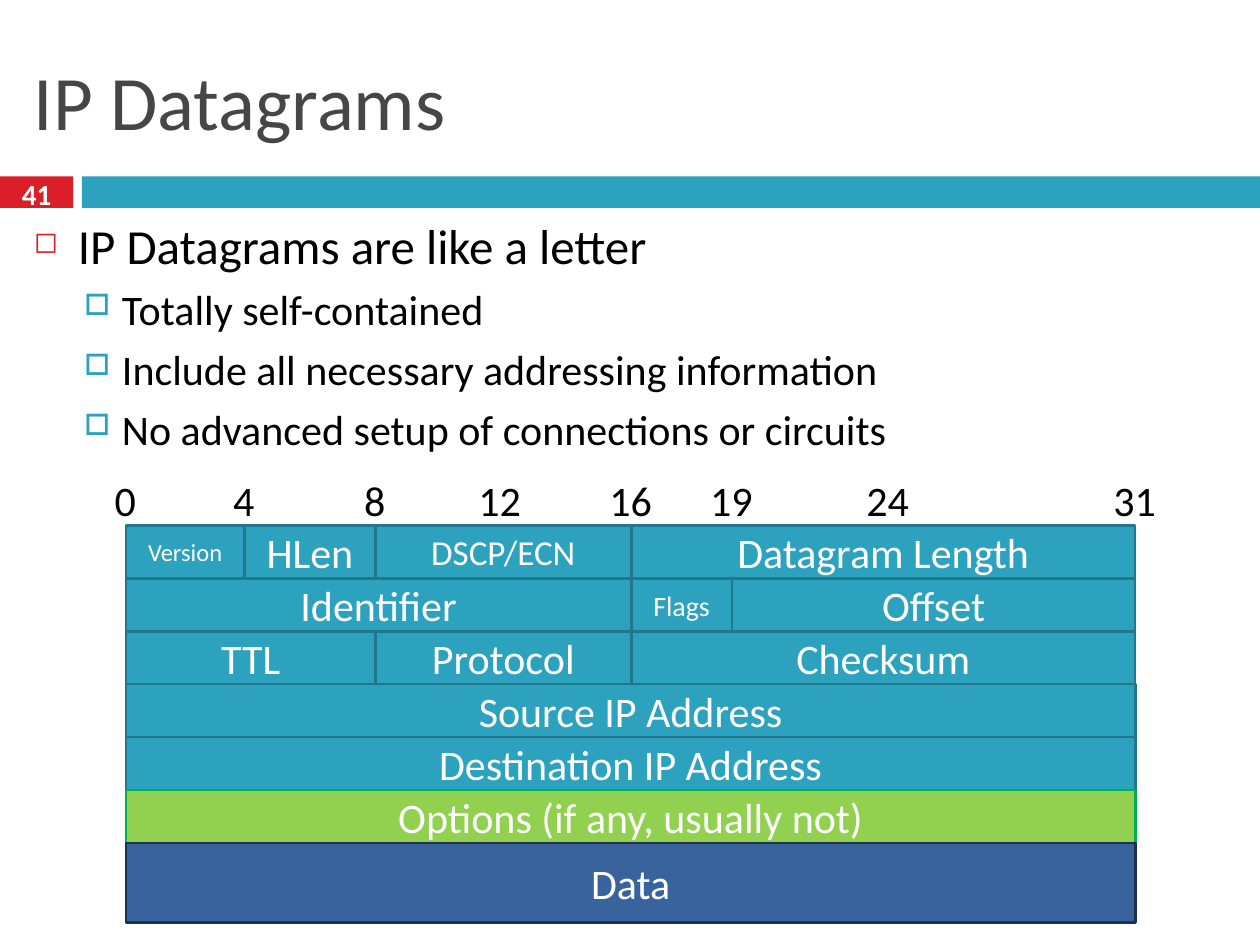
from dataclasses import dataclass

from lxml.etree import SubElement
from pptx import Presentation
from pptx.dml.color import RGBColor as RGB
from pptx.enum.shapes import MSO_SHAPE as Shape
from pptx.enum.text import MSO_ANCHOR as Anchor, PP_ALIGN as Align
from pptx.oxml.ns import qn
from pptx.util import Inches, Pt


@dataclass(frozen=True)
class Theme:
    font: str = "Calibri"
    red: str = "DA1F28"
    teal: str = "2DA2BF"
    teal_line: str = "21788D"
    green: str = "92D050"
    green_line: str = "00B050"
    blue: str = "39639D"
    blue_line: str = "1C314E"
    title: str = "464646"
    black: str = "000000"
    white: str = "FFFFFF"
    title_size: float = 44
    lead_size: float = 28
    text_size: float = 24
    number_size: float = 16.6


T = Theme()


@dataclass(frozen=True)
class Box:
    left: float
    top: float
    width: float
    height: float

    def lengths(self):
        return [Inches(v) for v in (self.left, self.top, self.width, self.height)]


@dataclass(frozen=True)
class Field:
    name: str
    start: int
    end: int
    size: float = T.text_size
    fill: str = T.teal
    line: str = T.teal_line
    height: float = 0.42


@dataclass(frozen=True)
class Level:
    char: str
    color: str
    percent: int
    indent: float
    hanging: float
    before: float
    size: float


LEAD = Level("◻", T.red, 60, 0.35, 0.35, 7, T.lead_size)
SUB = Level("□", T.teal, 70, 0.7, 0.3, 5.5, T.text_size)

BULLETS = [
    (LEAD, "IP Datagrams are like a letter"),
    (SUB, "Totally self-contained"),
    (SUB, "Include all necessary addressing information"),
    (SUB, "No advanced setup of connections or circuits"),
]

BIT_X = {0: 1, 4: 1.94, 8: 2.98, 12: 3.97, 16: 5.01, 19: 5.81, 24: 7.05, 31: 9.01}
HEADER_TOP = 4.17
HEADER_ROWS = [
    [Field("Version", 0, 4, 14), Field("HLen", 4, 8),
     Field("DSCP/ECN", 8, 16, 20), Field("Datagram Length", 16, 31)],
    [Field("Identifier", 0, 16), Field("Flags", 16, 19, 16), Field("Offset", 19, 31)],
    [Field("TTL", 0, 8), Field("Protocol", 8, 16), Field("Checksum", 16, 31)],
    [Field("Source IP Address", 0, 31)],
    [Field("Destination IP Address", 0, 31)],
    [Field("Options (if any, usually not)", 0, 31, fill=T.green, line=T.green_line)],
    [Field("Data", 0, 31, fill=T.blue, line=T.blue_line, height=0.63)],
]


def style(p, text: str, size: float, color: str, align=Align.LEFT, bold=False) -> None:
    p.text = text
    p.alignment = align
    p.font.name = T.font
    p.font.size = Pt(size)
    p.font.bold = bold
    p.font.color.rgb = RGB.from_string(color)


def add_rect(s, box: Box, fill: str, line: str = ""):
    sp = s.shapes.add_shape(Shape.RECTANGLE, *box.lengths())
    sp.shadow.inherit = False
    sp.fill.solid()
    sp.fill.fore_color.rgb = RGB.from_string(fill)
    if line:
        sp.line.color.rgb = RGB.from_string(line)
        sp.line.width = Pt(1.5)
    else:
        sp.line.fill.background()
    return sp


def add_text_frame(s, box: Box, anchor=Anchor.MIDDLE):
    tf = s.shapes.add_textbox(*box.lengths()).text_frame
    tf.word_wrap = True
    tf.vertical_anchor = anchor
    return tf


def add_label(s, box: Box, text: str, size: float, color: str, **kw) -> None:
    style(add_text_frame(s, box).paragraphs[0], text, size, color, **kw)


def add_bullet(p, level: Level, text: str) -> None:
    style(p, text, level.size, T.black)
    p.level = 0 if level is LEAD else 1
    p.space_before = Pt(level.before)
    pr = p._p.get_or_add_pPr()
    pr.set("marL", str(Inches(level.indent)))
    pr.set("indent", str(-Inches(level.hanging)))
    color = SubElement(pr, qn("a:buClr"))
    SubElement(color, qn("a:srgbClr")).set("val", level.color)
    SubElement(pr, qn("a:buSzPct")).set("val", str(level.percent * 1000))
    SubElement(pr, qn("a:buChar")).set("char", level.char)
    pr.append(pr.find(qn("a:defRPr")))


def add_body(s, box: Box) -> None:
    tf = add_text_frame(s, box, Anchor.TOP)
    for i, (level, text) in enumerate(BULLETS):
        p = tf.add_paragraph() if i else tf.paragraphs[0]
        add_bullet(p, level, text)


def add_field(s, field: Field, top: float) -> None:
    left = BIT_X[field.start]
    box = Box(left, top, BIT_X[field.end] - left, field.height)
    tf = add_rect(s, box, field.fill, field.line).text_frame
    tf.word_wrap = True
    tf.vertical_anchor = Anchor.MIDDLE
    style(tf.paragraphs[0], field.name, field.size, T.white, Align.CENTER)


def add_header(s) -> None:
    for bit, x in BIT_X.items():
        add_label(s, Box(x - 0.33, 3.64, 0.65, 0.66), str(bit), T.text_size, T.black,
                  align=Align.CENTER)
    top = HEADER_TOP
    for row in HEADER_ROWS:
        for field in row:
            add_field(s, field, top)
        top += row[0].height


def main() -> None:
    prs = Presentation()
    prs.slide_width, prs.slide_height = Inches(10), Inches(7.5)
    s = prs.slides.add_slide(prs.slide_layouts[6])
    add_rect(s, Box(0, 1.4, 0.58, 0.25), T.red)
    add_rect(s, Box(0.65, 1.4, 9.35, 0.25), T.teal)
    add_label(s, Box(0.17, 0.25, 9.67, 1.08), "IP Datagrams", T.title_size, T.title)
    add_label(s, Box(0, 1.37, 0.58, 0.33), "41", T.number_size, T.white,
              align=Align.CENTER, bold=True)
    add_body(s, Box(0.17, 1.66, 9.67, 2.25))
    add_header(s)
    prs.save("out.pptx")


if __name__ == "__main__":
    main()
